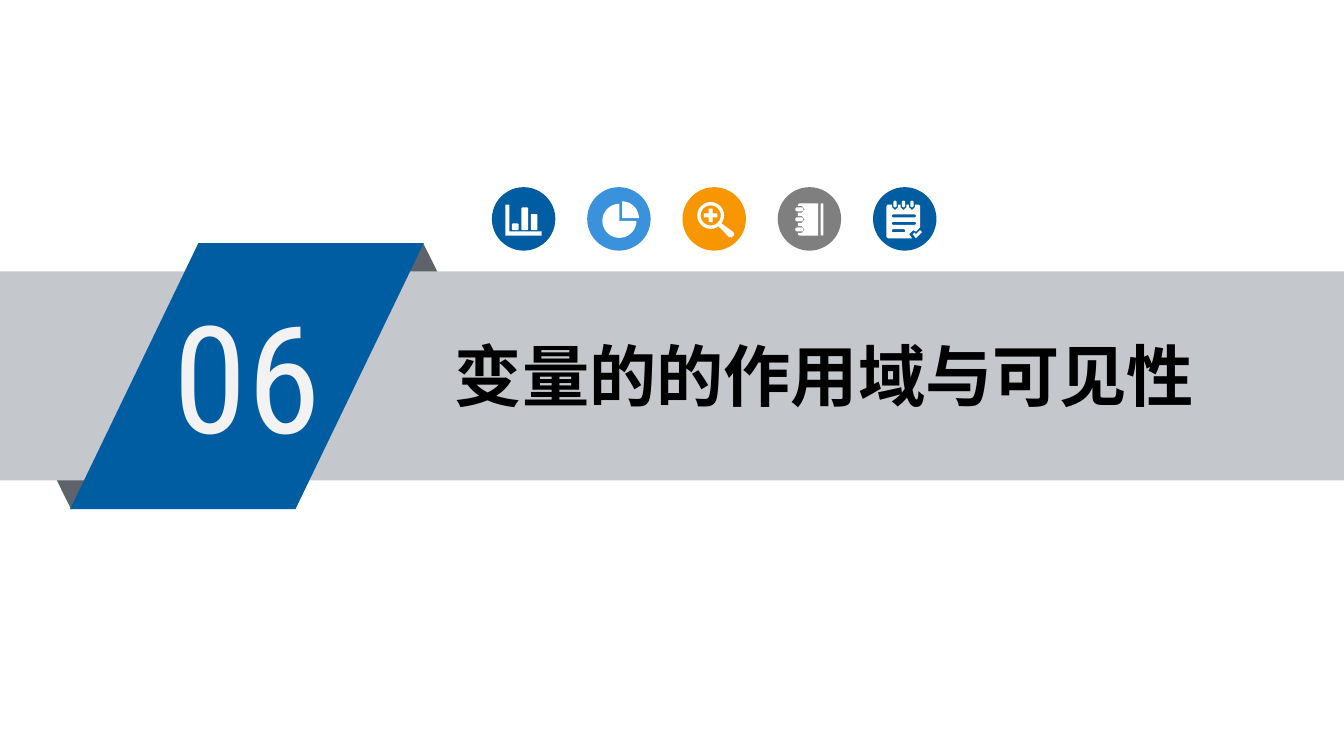
import math

from lxml import etree
from pptx import Presentation
from pptx import util as u
from pptx.dml.color import RGBColor
from pptx.enum import shapes, text
from pptx.oxml.ns import qn

Pt = u.Pt
SHAPE = shapes.MSO_SHAPE
BLUE, WHITE, FOLD = "005DA2", "FFFFFF", "5D636A"


def paint(shape, color):
    shape.shadow.inherit = False
    shape.fill.solid()
    shape.fill.fore_color.rgb = RGBColor.from_string(color)
    shape.line.fill.background()


def rounded(x, y, w, h, r):
    """Outline points of a rectangle with corner radius r."""
    corners = [(x + w - r, y + h - r), (x + r, y + h - r), (x + r, y + r), (x + w - r, y + r)]
    return [(cx + r * math.cos(math.radians(a)), cy + r * math.sin(math.radians(a)))
            for i, (cx, cy) in enumerate(corners)
            for a in range(90 * i, 90 * i + 91, 15)]


prs = Presentation()
prs.slide_width, prs.slide_height = Pt(720), Pt(405)
slide = prs.slides.add_slide(prs.slide_layouts[6])

# Ribbon: folds behind the band, slanted panel in front
for kind, left, top, width, height, turn, color in [
    (SHAPE.ISOSCELES_TRIANGLE, 194.4, 130.4, 64.8, 65.4, 0, FOLD),
    (SHAPE.ISOSCELES_TRIANGLE, 5.8, 207.6, 64.8, 65.4, 180, FOLD),
    (SHAPE.RECTANGLE, 0, 145.4, 720, 112, 0, "C4C7CB"),
    (SHAPE.PARALLELOGRAM, 37.6, 130.3, 189.4, 142.5, 0, BLUE),
]:
    part = slide.shapes.add_shape(kind, Pt(left), Pt(top), Pt(width), Pt(height))
    part.rotation = turn
    paint(part, color)
part.adjustments[0] = 0.482

# Section number and title
for words, left, top, width, height, size, font, color, bold, align in [
    ("06", 87.8, 149.8, 104.4, 102.2, 80, "Roboto Condensed", "F2F2F2", False, text.PP_ALIGN.LEFT),
    ("变量的的作用域与可见性", 234.7, 176.4, 414, 49, 36, "Noto Sans CJK SC", "000000", True,
     text.PP_ALIGN.CENTER),
]:
    frame = slide.shapes.add_textbox(Pt(left), Pt(top), Pt(width), Pt(height)).text_frame
    frame.word_wrap = True
    frame.auto_size = text.MSO_AUTO_SIZE.SHAPE_TO_FIT_TEXT
    frame.margin_left = frame.margin_right = Pt(5.4)
    frame.margin_top = frame.margin_bottom = Pt(2.7)
    line = frame.paragraphs[0]
    line.text = words
    line.alignment = align
    line.font.size = Pt(size)
    line.font.bold = bold
    line.font.color.rgb = RGBColor.from_string(color)
    line.font.name = font
    east_asian = etree.SubElement(line._p.pPr.find(qn("a:defRPr")), qn("a:ea"))
    east_asian.set("typeface", font)

# Icon outlines, in hundredths of an inch from the badge corner; inner outlines are holes
bar_chart = [
    [(10, 13), (13, 13), (13, 33), (37, 33), (37, 36), (10, 36)],
    rounded(15, 27, 5, 5, 1), rounded(22, 15, 5, 17, 1), rounded(29, 20, 5, 12, 1),
]
pie_chart = [
    [(cx, cy)] + [(cx + r * math.cos(math.radians(a)), cy + r * math.sin(math.radians(a)))
                  for a in range(start, end + 1, 10)]
    for cx, cy, r, start, end in [(26, 23, 12.5, -90, 0), (24, 25, 12.7, 0, 270)]
]
magnifier = [
    rounded(11, 11, 20, 20, 10), rounded(13.5, 13.5, 15, 15, 7.5),
    [(19.5, 16), (22.5, 16), (22.5, 19.5), (26, 19.5), (26, 22.5), (22.5, 22.5),
     (22.5, 26), (19.5, 26), (19.5, 22.5), (16, 22.5), (16, 19.5), (19.5, 19.5)],
    [(27, 29.2), (29.2, 27), (38, 33.5), (38.5, 35.5), (36.5, 37.5), (34.5, 37)],
]
ring_tops = [15, 22.5, 30]
notebook_edge = [point for y in reversed(ring_tops)
                 for point in [(15, y + 4), (18, y + 4), (20, y + 1.5), (18, y - 1), (15, y - 1)]]
notebook = [
    [(30, 12), (30, 36), (16, 36), (15, 35)] + notebook_edge + [(15, 13), (16, 12)],
    rounded(32, 12, 2, 24, 0.8),
] + [rounded(13, y, 6, 3, 1.5) for y in ring_tops]
loop_lefts = [15.2, 21.5, 27.8]
notepad_edge = [point for x in loop_lefts
                for point in [(x - 1, 13), (x - 1, 15), (x + 1.2, 17), (x + 3.4, 15), (x + 3.4, 13)]]
notepad = [
    [(10, 14), (11, 13)] + notepad_edge
    + [(34, 13), (35, 14), (35, 30), (32, 33), (30, 32), (27, 35), (29, 38), (11, 38), (10, 37)],
    [(29.5, 35), (31, 33.8), (32, 35), (35, 32), (36.5, 33.5), (32, 38)],
] + [rounded(x, 10, 2.4, 5, 1.2) for x in loop_lefts] \
  + [rounded(14, y, width, 2.2, 1.1) for y, width in [(20.3, 18), (25.8, 18), (31.3, 10)]]

badges = [(BLUE, bar_chart), ("3992DB", pie_chart), ("F79600", magnifier),
          ("7F7F7F", notebook), (BLUE, notepad)]
for i, (color, outlines) in enumerate(badges):
    left, top = Pt(263.5 + 51.05 * i), Pt(100.3)
    paint(slide.shapes.add_shape(SHAPE.OVAL, left, top, Pt(34), Pt(34)), color)
    builder = slide.shapes.build_freeform(
        outlines[0][0][0] * 100, outlines[0][0][1] * 100, scale=Pt(0.72) / 100)
    for n, outline in enumerate(outlines):
        points = [(x * 100, y * 100) for x, y in outline]
        if n:
            builder.move_to(*points[0])
        builder.add_line_segments(points[1:], close=True)
    paint(builder.convert_to_shape(left, top), WHITE)

prs.save("out.pptx")
